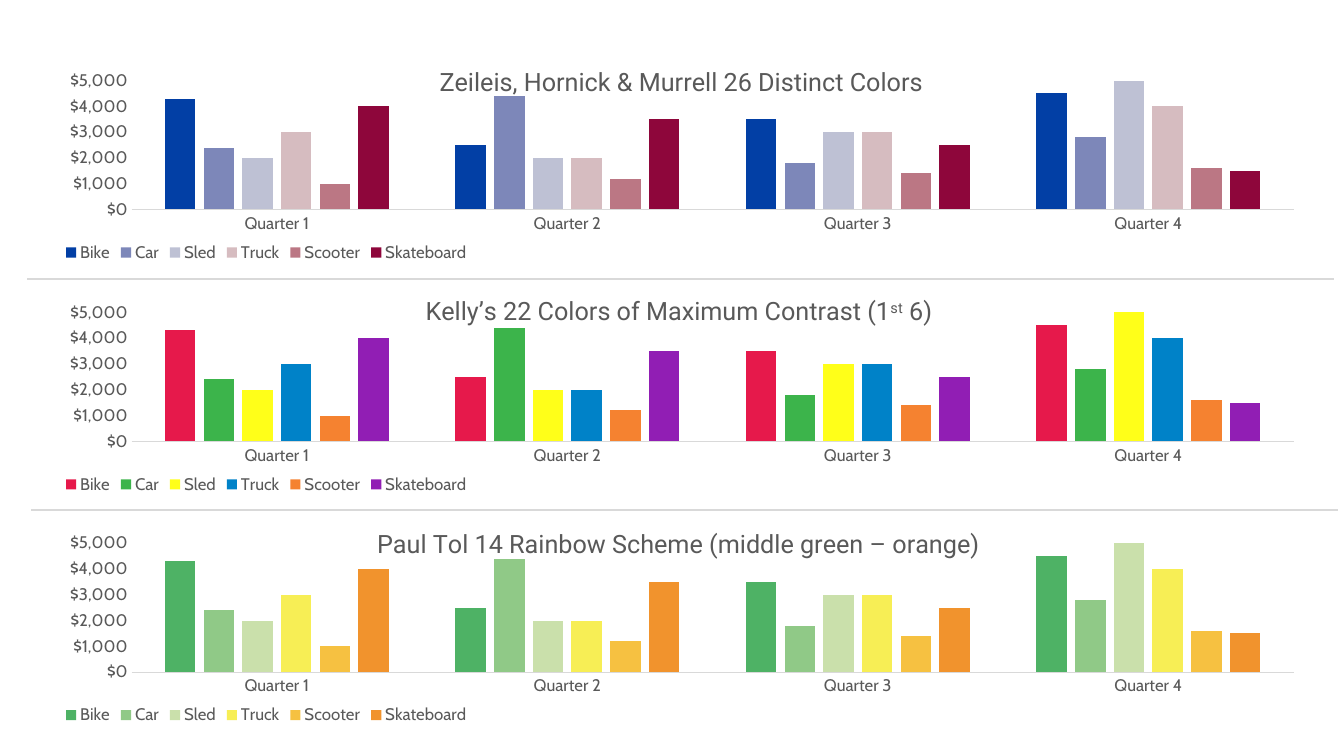
import pptx
import pptx.util
import pptx.chart.data
import pptx.dml.color
import pptx.enum.chart
import pptx.enum.shapes
import pptx.oxml
import pptx.oxml.ns

Inches = pptx.util.Inches
Pt = pptx.util.Pt
RGBColor = pptx.dml.color.RGBColor
qn = pptx.oxml.ns.qn
xl = pptx.enum.chart

TEXT_GREY = RGBColor(0x59, 0x59, 0x59)
RULE_GREY = RGBColor(0xD9, 0xD9, 0xD9)

QUARTERS = ["Quarter 1", "Quarter 2", "Quarter 3", "Quarter 4"]
SALES = {
    "Bike": (4300, 2500, 3500, 4500),
    "Car": (2400, 4400, 1800, 2800),
    "Sled": (2000, 2000, 3000, 5000),
    "Truck": (3000, 2000, 3000, 4000),
    "Scooter": (1000, 1200, 1400, 1600),
    "Skateboard": (4000, 3500, 2500, 1500),
}

ZEILEIS = [RGBColor(0x02, 0x3F, 0xA5), RGBColor(0x7D, 0x87, 0xB9),
           RGBColor(0xBE, 0xC1, 0xD4), RGBColor(0xD6, 0xBC, 0xC0),
           RGBColor(0xBB, 0x77, 0x84), RGBColor(0x8E, 0x06, 0x3B)]
KELLY = [RGBColor(0xE6, 0x19, 0x4B), RGBColor(0x3C, 0xB4, 0x4B),
         RGBColor(0xFF, 0xFF, 0x19), RGBColor(0x00, 0x82, 0xC8),
         RGBColor(0xF5, 0x82, 0x30), RGBColor(0x91, 0x1E, 0xB4)]
TOL = [RGBColor(0x4E, 0xB2, 0x65), RGBColor(0x90, 0xC9, 0x87),
       RGBColor(0xCA, 0xE0, 0xAB), RGBColor(0xF7, 0xEE, 0x55),
       RGBColor(0xF6, 0xC1, 0x41), RGBColor(0xF1, 0x93, 0x2D)]

# Top of the chart, left share of the title, title runs (text, raised), palette
PANELS = [
    (0.47, 0.3, [("Zeileis, Hornick & Murrell 26 Distinct Colors", False)],
     ZEILEIS),
    (2.77, 0.29, [("Kelly’s 22 Colors of Maximum Contrast (1", False),
                  ("st", True), (" 6)", False)], KELLY),
    (5.06, 0.25, [("Paul Tol 14 Rainbow Scheme (middle green – orange)",
                   False)], TOL),
]

LABEL_FONT = {"name": "Cabin", "size": Pt(12), "bold": False}
TITLE_FONT = {"name": "Roboto", "size": Pt(18), "bold": False}
VALUE_SCALE = {"minimum_scale": 0, "maximum_scale": 5000, "major_unit": 1000,
               "has_major_gridlines": False}


def set_attrs(obj, values):
    for name, value in values.items():
        setattr(obj, name, value)


def format_font(font, values):
    set_attrs(font, values)
    font.color.rgb = TEXT_GREY


def place(parent, index, **fractions):
    """Give a chart part a manual layout in fractions of the chart."""
    for old in parent.findall(qn("c:layout")):
        parent.remove(old)
    layout = pptx.oxml.parse_xml(
        '<c:layout xmlns:c="http://schemas.openxmlformats.org/'
        'drawingml/2006/chart"><c:manualLayout/></c:layout>')
    settings = {"xMode": "edge", "yMode": "edge", **fractions}
    if "w" in fractions:
        settings = {"layoutTarget": "inner", **settings}
    for tag, value in settings.items():
        child = layout[0].makeelement(qn("c:" + tag), {"val": str(value)})
        layout[0].append(child)
    parent.insert(index, layout)


def add_title(chart, left, runs):
    title = chart.chart_title
    p = title.text_frame.paragraphs[0]
    for text, raised in runs:
        r = p.add_run()
        r.text = text
        format_font(r.font, TITLE_FONT)
        if raised:
            r._r.get_or_add_rPr().set("baseline", "30000")
    place(title._element, 1, x=left, y=0.06)
    title._element.find(qn("c:overlay")).set("val", "1")


def format_axes(chart):
    for axis in (chart.category_axis, chart.value_axis):
        axis.major_tick_mark = axis.minor_tick_mark = xl.XL_TICK_MARK.NONE
        format_font(axis.tick_labels.font, LABEL_FONT)
    line = chart.category_axis.format.line
    line.color.rgb = RULE_GREY
    line.width = Pt(0.75)
    set_attrs(chart.value_axis, VALUE_SCALE)
    chart.value_axis.format.line.fill.background()
    set_attrs(chart.value_axis.tick_labels,
              {"number_format": '"$"#,##0', "number_format_is_linked": False})


def add_legend(chart):
    chart.has_legend = True
    legend = chart.legend
    legend.position = xl.XL_LEGEND_POSITION.BOTTOM
    legend.include_in_layout = False
    format_font(legend.font, LABEL_FONT)
    place(legend._element, 1, x=0, y=0.87)


def add_sales_chart(s, top, title_left, title_runs, palette):
    data = pptx.chart.data.CategoryChartData(number_format='"$"#,##0')
    data.categories = QUARTERS
    for name, values in SALES.items():
        data.add_series(name, values)
    chart = s.shapes.add_chart(
        xl.XL_CHART_TYPE.COLUMN_CLUSTERED, Inches(0.6), Inches(top),
        Inches(12.38), Inches(2.18), data).chart
    format_font(chart.font, LABEL_FONT)
    plot = chart.plots[0]
    set_attrs(plot, {"gap_width": 219, "overlap": -27,
                     "vary_by_categories": False})
    for series, color in zip(plot.series, palette):
        series.format.fill.solid()
        series.format.fill.fore_color.rgb = color
    add_title(chart, title_left, title_runs)
    format_axes(chart)
    add_legend(chart)
    plot_area = chart._chartSpace.chart.plotArea
    place(plot_area, 0, x=0.057, y=0.151, w=0.931, h=0.587)


def add_divider(s, left, top):
    line = s.shapes.add_connector(
        pptx.enum.shapes.MSO_CONNECTOR.STRAIGHT, Inches(left), Inches(top),
        Inches(left + 12.96), Inches(top))
    line.line.color.rgb = RULE_GREY
    line.line.width = Pt(1)
    pr = line._element.spPr
    pr.append(pr.makeelement(qn("a:effectLst"), {}))


def main():
    prs = pptx.Presentation()
    prs.slide_width = Inches(13.33)
    prs.slide_height = Inches(7.5)
    s = prs.slides.add_slide(prs.slide_layouts[6])

    # One chart per palette
    for panel in PANELS:
        add_sales_chart(s, *panel)

    # Rules between the charts
    add_divider(s, 0.27, 2.77)
    add_divider(s, 0.31, 5.06)

    prs.save("out.pptx")


if __name__ == "__main__":
    main()
